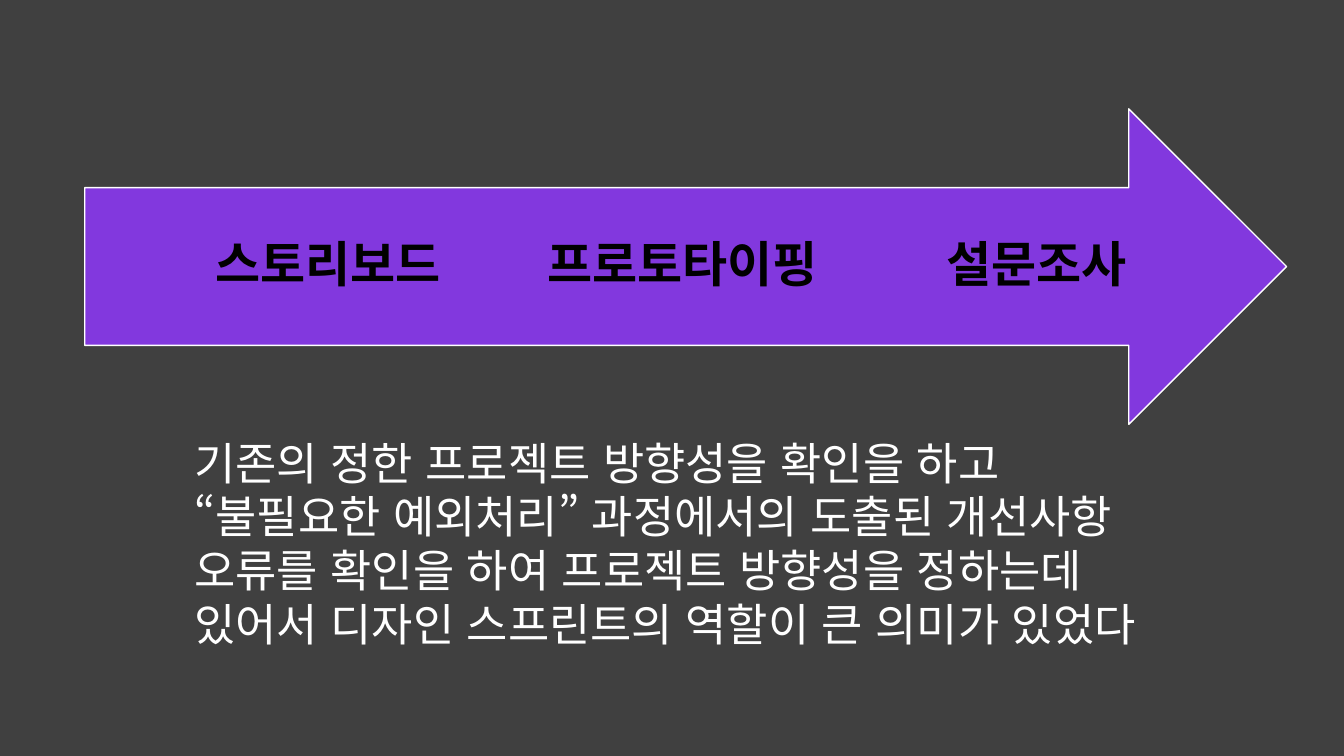
from lxml.etree import SubElement
from pptx import Presentation
from pptx.dml.color import RGBColor
from pptx.enum.lang import MSO_LANGUAGE_ID
from pptx.enum.shapes import MSO_SHAPE
from pptx.enum.text import MSO_ANCHOR, MSO_AUTO_SIZE, PP_ALIGN
from pptx.oxml.ns import qn
from pptx.util import Inches, Pt

FONT = "Lato"
CHARCOAL, PURPLE, WHITE, BLACK = "404040", "8238DE", "FFFFFF", "000000"
STEPS = ["스토리보드", "프로토타이핑", "설문조사"]
STEP_LEFT, STEP_PITCH = 1.79, 3.515
SUMMARY = (
    "기존의 정한 프로젝트 방향성을 확인을 하고 "
    "“불필요한 예외처리” 과정에서의 도출된 개선사항 "
    "오류를 확인을 하여 프로젝트 방향성을 정하는데 "
    "있어서 디자인 스프린트의 역할이 큰 의미가 있었다"
)


def paint(color_format, color):
    color_format.rgb = RGBColor.from_string(color)


def add_run(paragraph, text, size, color, bold=False):
    run = paragraph.add_run()
    run.text = text
    font = run.font
    font.name, font.size, font.bold = FONT, Pt(size), bold
    font.language_id = MSO_LANGUAGE_ID.KOREAN
    paint(font.color, color)


def add_process_arrow(group):
    arrow = group.shapes.add_shape(
        MSO_SHAPE.RIGHT_ARROW, Inches(0.84), Inches(1.08), Inches(11.92), Inches(3.13))
    arrow.shadow.inherit = False
    arrow.fill.solid()
    paint(arrow.fill.fore_color, PURPLE)
    arrow.line.width = Pt(1)
    paint(arrow.line.color, WHITE)


def add_step(group, left, label):
    step = group.shapes.add_textbox(Inches(left), Inches(1.86), Inches(2.93), Inches(1.57))
    frame = step.text_frame
    frame.word_wrap = True
    frame.vertical_anchor = MSO_ANCHOR.MIDDLE
    frame.margin_left = frame.margin_right = 0
    frame.margin_top = frame.margin_bottom = Inches(0.39)
    paragraph = frame.paragraphs[0]
    paragraph.alignment = PP_ALIGN.CENTER
    paragraph.line_spacing = 0.9
    paragraph.space_after = Pt(12)
    add_run(paragraph, label, 35, BLACK, bold=True)


def add_soft_shadow(shape):
    """Blurred shadow that falls behind the text of an unfilled shape."""
    shape.shadow.inherit = False
    effects = shape.element.spPr.find(qn("a:effectLst"))
    shadow = SubElement(effects, qn("a:outerShdw"), blurRad="50800", dist="38100",
                        dir="2700000", algn="tl", rotWithShape="0")
    black = SubElement(shadow, qn("a:srgbClr"), val=BLACK)
    SubElement(black, qn("a:alpha"), val="40000")


def add_summary(slide):
    summary = slide.shapes.add_shape(
        MSO_SHAPE.RECTANGLE, Inches(1.83), Inches(4.27), Inches(9.93), Inches(2.26))
    summary.element.set("useBgFill", "1")
    summary.fill.background()
    summary.line.fill.background()
    add_soft_shadow(summary)
    frame = summary.text_frame
    frame.word_wrap = True
    frame.auto_size = MSO_AUTO_SIZE.SHAPE_TO_FIT_TEXT
    frame.vertical_anchor = MSO_ANCHOR.TOP
    paragraph = frame.paragraphs[0]
    paragraph.alignment = PP_ALIGN.LEFT
    add_run(paragraph, SUMMARY, 32, WHITE)


def main():
    deck = Presentation()
    deck.slide_width, deck.slide_height = Inches(13.33), Inches(7.5)
    slide = deck.slides.add_slide(deck.slide_layouts[6])
    slide.background.fill.solid()
    paint(slide.background.fill.fore_color, CHARCOAL)

    process = slide.shapes.add_group_shape()
    add_process_arrow(process)
    for index, label in enumerate(STEPS):
        add_step(process, STEP_LEFT + index * STEP_PITCH, label)
    add_summary(slide)
    deck.save("out.pptx")


if __name__ == "__main__":
    main()
